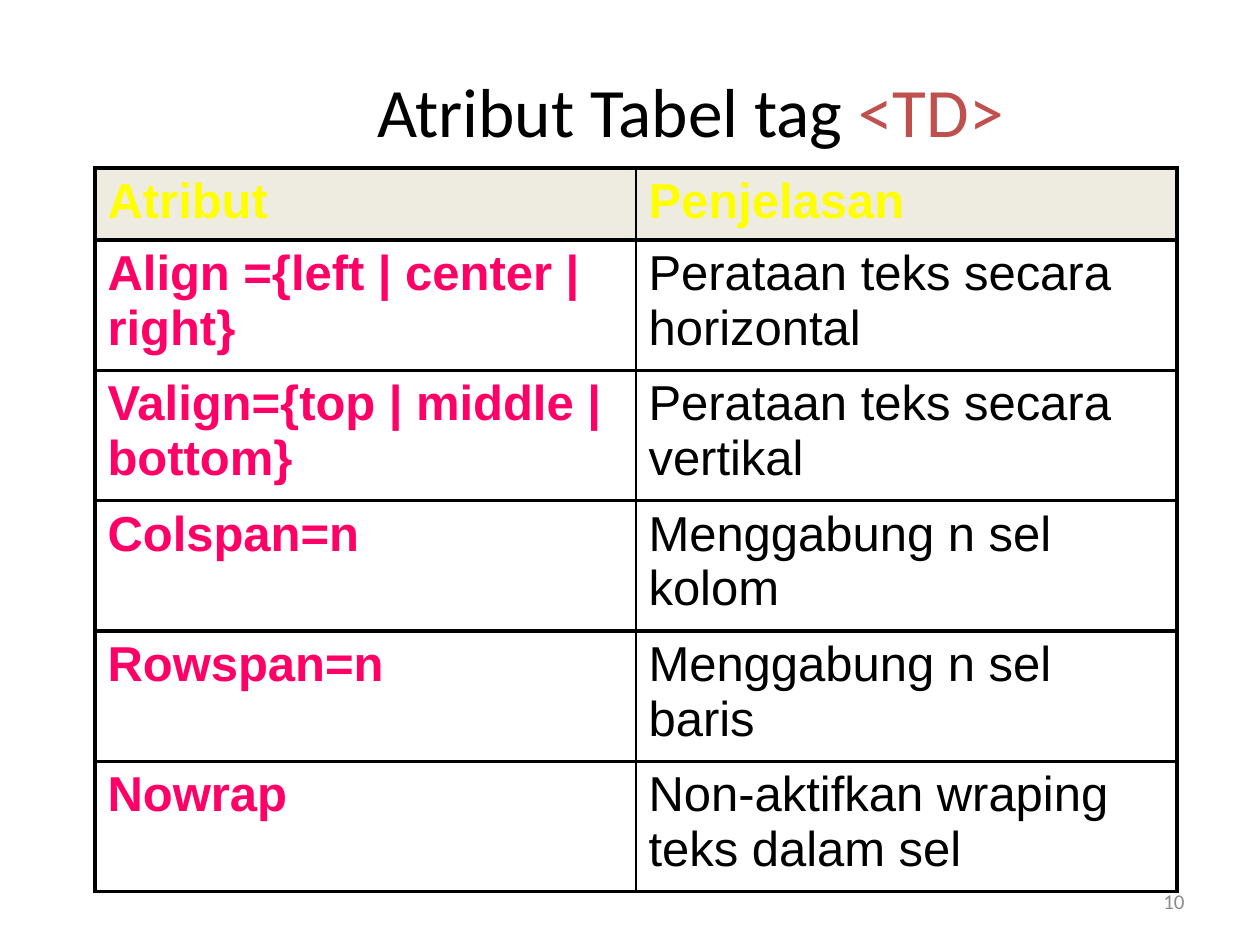
from typing import NamedTuple

from lxml import etree
from pptx import Presentation
from pptx.dml.color import RGBColor
from pptx.enum import text
from pptx.oxml import ns
from pptx.util import Emu, Pt

SCALE = 914400 / 126
BLACK, YELLOW, PINK = "000000", "FFFF00", "FF0066"
RED, GRAY, BEIGE = "C0504D", "8C8C8C", "EEECE1"
THICK, THIN = 2.25, 1


class Box(NamedTuple):
    left: int
    top: int
    width: int
    height: int


class Attribute(NamedTuple):
    name: str
    explanation: str


HEADER = Attribute("Atribut", "Penjelasan")
ATTRIBUTES = [
    Attribute("Align ={left | center | right}", "Perataan teks secara horizontal"),
    Attribute("Valign={top | middle | bottom}", "Perataan teks secara vertikal"),
    Attribute("Colspan=n", "Menggabung n sel kolom"),
    Attribute("Rowspan=n", "Menggabung n sel baris"),
    Attribute("Nowrap", "Non-aktifkan wraping teks dalam sel"),
]
COLUMN_WIDTH, HEADER_HEIGHT, ROW_HEIGHT = 541, 72, 130
TITLE_BOX = Box(179, 73, 1023, 73)
NUMBER_BOX = Box(903, 876, 294, 50)
TABLE_BOX = Box(95, 168, 2 * COLUMN_WIDTH,
                HEADER_HEIGHT + len(ATTRIBUTES) * ROW_HEIGHT)


def px(value: int) -> Emu:
    return Emu(round(value * SCALE))


def emu(box: Box) -> list[Emu]:
    return [px(v) for v in box]


def color(value: str) -> RGBColor:
    return RGBColor.from_string(value)


def format_run(r, font: str, size: float, hue: str, bold: bool = False) -> None:
    r.font.name = font
    r.font.size = Pt(size)
    r.font.bold = bold
    r.font.color.rgb = color(hue)


def set_borders(cell, left: float, right: float) -> None:
    tc_pr = cell._tc.get_or_add_tcPr()
    widths = {"lnL": left, "lnR": right, "lnT": THICK, "lnB": THICK}
    for i, (tag, width) in enumerate(widths.items()):
        ln = etree.Element(ns.qn(f"a:{tag}"), w=str(Pt(width)))
        fill = etree.SubElement(ln, ns.qn("a:solidFill"))
        etree.SubElement(fill, ns.qn("a:srgbClr"), val=BLACK)
        tc_pr.insert(i, ln)


def add_title(s) -> None:
    sp = s.shapes.title
    sp.left, sp.top, sp.width, sp.height = emu(TITLE_BOX)
    tf = sp.text_frame
    tf.auto_size = text.MSO_AUTO_SIZE.NONE
    tf.vertical_anchor = text.MSO_ANCHOR.MIDDLE
    p = tf.paragraphs[0]
    p.alignment = text.PP_ALIGN.CENTER
    for words, hue in (("Atribut Tabel tag ", BLACK), ("<TD>", RED)):
        r = p.add_run()
        r.text = words
        format_run(r, "Calibri", 39.6, hue)


def add_attribute_table(s) -> None:
    rows = [HEADER, *ATTRIBUTES]
    table = s.shapes.add_table(len(rows), 2, *emu(TABLE_BOX)).table
    table.first_row = table.horz_banding = False
    for column in table.columns:
        column.width = px(COLUMN_WIDTH)
    for i, row in enumerate(rows):
        header = i == 0
        table.rows[i].height = px(HEADER_HEIGHT if header else ROW_HEIGHT)
        for j, words in enumerate(row):
            cell = table.cell(i, j)
            if header:
                cell.fill.solid()
                cell.fill.fore_color.rgb = color(BEIGE)
            else:
                cell.fill.background()
            set_borders(cell, *((THICK, THIN) if j == 0 else (THIN, THICK)))
            cell.text_frame.text = words
            hue = YELLOW if header else (PINK, BLACK)[j]
            format_run(cell.text_frame.paragraphs[0].runs[0], "Arial", 28, hue,
                       bold=header or j == 0)


def add_slide_number(s) -> None:
    tf = s.shapes.add_textbox(*emu(NUMBER_BOX)).text_frame
    tf.word_wrap = True
    tf.vertical_anchor = text.MSO_ANCHOR.MIDDLE
    tf.text = "10"
    p = tf.paragraphs[0]
    p.alignment = text.PP_ALIGN.RIGHT
    format_run(p.runs[0], "Calibri", 12, GRAY)


def main() -> None:
    prs = Presentation()
    prs.slide_width, prs.slide_height = px(1260), px(945)
    s = prs.slides.add_slide(prs.slide_layouts[5])
    add_title(s)
    add_slide_number(s)
    add_attribute_table(s)
    prs.save("out.pptx")


if __name__ == "__main__":
    main()
